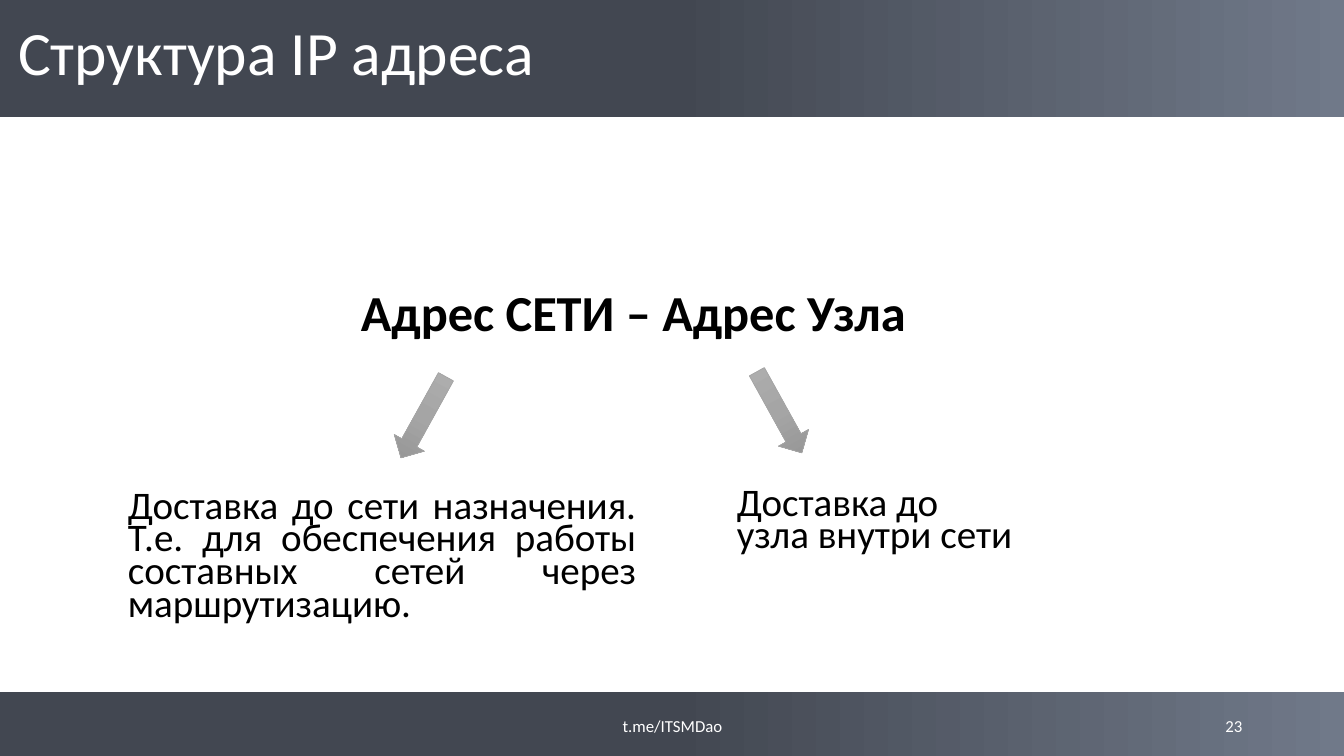
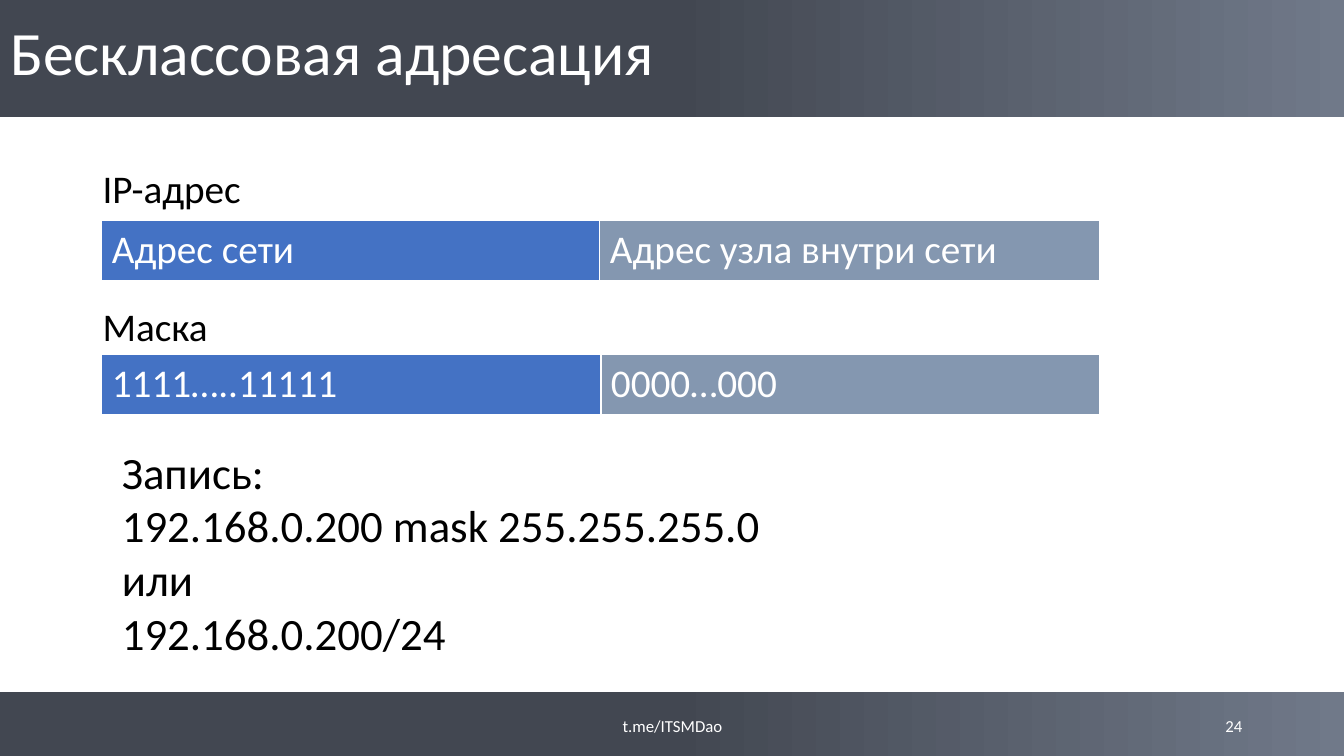
from lxml import etree
from copy import deepcopy
from pptx import Presentation
from pptx.dml.color import RGBColor
from pptx.enum.shapes import MSO_SHAPE
from pptx.enum.text import MSO_ANCHOR, MSO_AUTO_SIZE, PP_ALIGN
from pptx.oxml.ns import qn
from pptx.util import Inches, Pt

LEFT, CENTER, RIGHT = PP_ALIGN.LEFT, PP_ALIGN.CENTER, PP_ALIGN.RIGHT
JUSTIFY = PP_ALIGN.JUSTIFY
TOP, MIDDLE = MSO_ANCHOR.TOP, MSO_ANCHOR.MIDDLE
NO_FIT = MSO_AUTO_SIZE.NONE
RECTANGLE, DOWN_ARROW = MSO_SHAPE.RECTANGLE, MSO_SHAPE.DOWN_ARROW

FONT = "Calibri"
WIDTH, HEIGHT = 13.33, 7.5
COLORS = {
    "text": "000000", "light": "FFFFFF", "arrow": "A5A5A5",
    "network": "4472C4", "host": "8497B0",
}
BAND_STOPS = [(0, "707989"), (0.5, "424751")]
ARROW_STOPS = [(0, "AFAFAF"), (0.5, "A5A5A5"), (1, "939393")]
BANDS = [(0, -0.01, WIDTH, 1.17), (0, 6.87, WIDTH, 0.63)]
FOOTER = "t.me/ITSMDao"
TITLE_LAYOUT, BODY_LAYOUT = 5, 1

STRUCTURE = {
    "title": "Структура IP адреса",
    "number": "23",
    "formula": "Адрес СЕТИ – Адрес Узла",
    "arrows": [((4.03, 3.68), 29), ((7.56, 3.63), -29)],
    "roles": [
        ((1.17, 4.84, 5.24, 1.54),
         ["Доставка до сети назначения. Т.е. для обеспечения работы "
          "составных сетей через маршрутизацию."]),
        ((7.21, 4.81, 3.25, 0.79), ["Доставка до", "узла внутри сети"]),
    ],
}
CLASSLESS = {
    "title": "Бесклассовая адресация",
    "number": "24",
    "rows": [
        ("IP-адрес", 1.58, 2.19, 4.94, ["Адрес сети", "Адрес узла внутри сети"]),
        ("Маска", 2.95, 3.52, 4.95, ["1111…..11111", "0000…000"]),
    ],
    "notation": ["Запись:", "192.168.0.200 mask 255.255.255.0", "или",
                 "192.168.0.200/24"],
}


def rgb(name):
    return RGBColor.from_string(COLORS[name])


def inches(box):
    return [Inches(length) for length in box]


def write(frame, lines, size, color="text", align=LEFT, anchor=TOP,
          spacing=1.0, bold=False):
    frame.word_wrap = True
    frame.auto_size = NO_FIT
    frame.vertical_anchor = anchor
    for index, line in enumerate(lines):
        paragraph = frame.add_paragraph() if index else frame.paragraphs[0]
        paragraph.text = line
        paragraph.alignment = align
        paragraph.line_spacing = spacing
        paragraph.space_before = Pt(0)
        font = paragraph.font
        font.name, font.size, font.bold = FONT, Pt(size), bold
        font.color.rgb = rgb(color)


def add_text(slide, box, lines, size, **style):
    write(slide.shapes.add_textbox(*inches(box)).text_frame, lines, size, **style)


def fill_placeholder(placeholder, box, text, size, **style):
    placeholder.left, placeholder.top, placeholder.width, placeholder.height = inches(box)
    write(placeholder.text_frame, [text], size, spacing=0.9, **style)


def add_gradient_shape(slide, kind, box, stops, angle):
    shape = slide.shapes.add_shape(kind, *inches(box))
    shape.shadow.inherit = False
    shape.line.fill.background()
    shape.fill.gradient()
    shape.fill.gradient_angle = angle
    stop_list = shape._element.spPr.find(f".//{qn('a:gsLst')}")
    for _ in stops[2:]:
        stop_list.append(deepcopy(stop_list[-1]))
    for stop, (position, color) in zip(shape.fill.gradient_stops, stops):
        stop.position = position
        stop.color.rgb = RGBColor.from_string(color)
    return shape


def add_master_bands(prs, slide):
    tree = prs.slide_master.shapes._spTree
    for index, box in enumerate(BANDS):
        band = add_gradient_shape(slide, RECTANGLE, box, BAND_STOPS, 180)
        band._element.nvSpPr.cNvPr.set("id", str(100 + index))
        tree.insert(2 + index, band._element)


def start_slide(prs, layout, content, title_box):
    slide = prs.slides.add_slide(prs.slide_layouts[layout])
    fill_placeholder(slide.shapes.title, title_box, content["title"], 44,
                     color="light", anchor=MIDDLE)
    footer_style = {"size": 12, "color": "light", "anchor": MIDDLE}
    add_text(slide, (4.42, 7, 4.5, 0.4), [FOOTER], align=CENTER, **footer_style)
    add_text(slide, (9.42, 7, 3, 0.4), [content["number"]], align=RIGHT, **footer_style)
    return slide


def remove_bullet(paragraph):
    properties = paragraph._p.get_or_add_pPr()
    properties.set("marL", "0")
    properties.set("indent", "0")
    etree.SubElement(properties, qn("a:buNone"))


def border_cell(cell):
    properties = cell._tc.get_or_add_tcPr()
    sides = [("a:lnL", 1), ("a:lnR", 1), ("a:lnT", 1), ("a:lnB", 3)]
    for index, (side, points) in enumerate(sides):
        line = etree.Element(qn(side), w=str(Pt(points)))
        fill = etree.SubElement(line, qn("a:solidFill"))
        etree.SubElement(fill, qn("a:srgbClr"), val=COLORS["light"])
        properties.insert(index, line)


def add_address_table(slide, top, first_width, labels):
    left, width, height = 1.01, 9.9, 0.61
    table = slide.shapes.add_table(1, 2, *inches((left, top, width, height))).table
    table.first_row = table.horz_banding = False
    for index, column_width in enumerate((first_width, width - first_width)):
        table.columns[index].width = Inches(column_width)
    for cell, label, color in zip(table.rows[0].cells, labels, ("network", "host")):
        cell.fill.solid()
        cell.fill.fore_color.rgb = rgb(color)
        border_cell(cell)
        write_cell(cell, label)


def write_cell(cell, label):
    cell.text = label
    font = cell.text_frame.paragraphs[0].font
    font.name, font.size, font.bold = FONT, Pt(28), False
    font.color.rgb = rgb("light")


def build_structure(prs):
    slide = start_slide(prs, BODY_LAYOUT, STRUCTURE, (0.08, 0.16, 9, 0.79))
    add_master_bands(prs, slide)
    formula = slide.placeholders[1]
    remove_bullet(formula.text_frame.paragraphs[0])
    fill_placeholder(formula, (3.48, 2.81, 6.1, 0.79), STRUCTURE["formula"], 36,
                     align=JUSTIFY, bold=True)
    for corner, rotation in STRUCTURE["arrows"]:
        arrow = add_gradient_shape(slide, DOWN_ARROW, (*corner, 0.34, 0.92),
                                   ARROW_STOPS, 270)
        arrow.rotation = rotation
        arrow.line.color.rgb = rgb("arrow")
        arrow.line.width = Pt(0.5)
    for box, lines in STRUCTURE["roles"]:
        add_text(slide, box, lines, 27.9, align=JUSTIFY, spacing=0.7)


def build_classless(prs):
    slide = start_slide(prs, TITLE_LAYOUT, CLASSLESS, (0, 0, WIDTH, 1.1))
    for caption, caption_top, table_top, first_width, labels in CLASSLESS["rows"]:
        add_text(slide, (0.92, caption_top, 4.34, 0.57), [caption], 28)
        add_address_table(slide, table_top, first_width, labels)
    add_text(slide, (1.11, 4.36, 8.61, 2.26), CLASSLESS["notation"], 32)


def main():
    prs = Presentation()
    prs.slide_width, prs.slide_height = inches((WIDTH, HEIGHT))
    build_structure(prs)
    build_classless(prs)
    prs.save("out.pptx")


if __name__ == "__main__":
    main()
